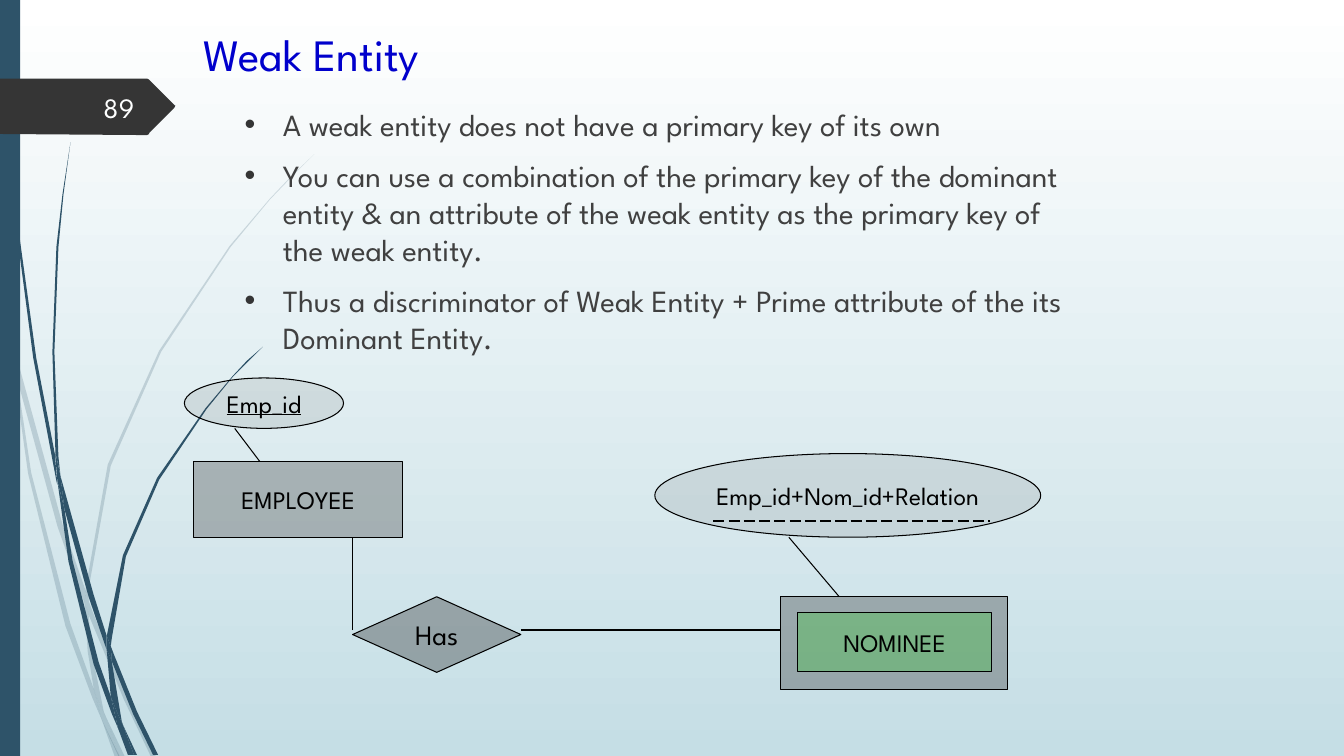
from dataclasses import dataclass

from lxml import etree
from pptx import Presentation
from pptx import util as u
from pptx.dml.color import RGBColor
from pptx.enum import dml, shapes, text
from pptx.oxml.ns import qn

PX = 9144


@dataclass(frozen=True)
class Theme:
    """Colours, font and type sizes."""
    font: str = "League Spartan"
    blue: str = "2E5369"
    dark: str = "353535"
    green: str = "33CC33"
    ink: str = "000000"
    head: str = "0000CC"
    body: str = "404040"
    white: str = "FEFFFF"
    sky: tuple = ("FFFFFF", "C5DEE5")
    big: int = 32
    mid: int = 22
    num: int = 20
    small: int = 18


T = Theme()

PALE = [
    [(11, 350), (8, 322), (0, 282), (0, 299), (10, 344)],
    [(57, 522), (84, 599), (85, 586), (62, 520), (14, 345), (17, 376)],
    [(92, 607), (88, 596), (88, 610), (123, 694), (150, 751), (155, 751), (127, 692)],
    [(119, 751), (124, 751), (105, 711)],
    [(93, 683), (70, 619), (31, 469), (17, 376), (11, 350), (28, 470), (65, 621), (92, 693),
     (101, 714), (99, 707)],
    [(84, 599), (87, 646), (93, 683), (96, 692), (105, 711), (103, 706), (91, 646), (88, 610), (88, 608)],
    [(88, 584), (110, 462), (160, 349), (229, 245), (268, 198), (290, 175), (312, 153), (289, 175),
     (268, 197), (228, 244), (158, 348), (107, 461), (85, 584), (85, 586), (88, 596)],
    [(101, 714), (114, 751), (119, 751)],
    [(88, 608), (88, 610), (88, 596), (85, 586), (84, 599)],
    [(96, 692), (93, 683), (99, 707), (101, 714), (118, 751), (119, 751), (105, 711)],
]
DEEP = [
    [(7, 110), (17, 233), (33, 355), (56, 477), (57, 481), (55, 457), (55, 453), (36, 355), (19, 232),
     (8, 109), (5, 48), (3, 0), (3, 48)],
    [(88, 592), (106, 645), (106, 633), (106, 631), (93, 590), (60, 472), (64, 505)],
    [(113, 649), (110, 641), (111, 656), (132, 708), (152, 749), (157, 749), (136, 706)],
    [(110, 691), (98, 657), (72, 556), (64, 505), (57, 477), (68, 557), (93, 659), (111, 708),
     (117, 722), (116, 717)],
    [(60, 472), (58, 453), (54, 349), (58, 245), (63, 193), (70, 141), (62, 193), (56, 245),
     (52, 349), (55, 449), (60, 471)],
    [(133, 749), (136, 749), (122, 719)],
    [(57, 477), (64, 505), (60, 472), (55, 449), (55, 453)],
    [(111, 633), (125, 552), (158, 476), (205, 406), (231, 374), (246, 359), (261, 344), (245, 358),
     (231, 373), (204, 405), (156, 474), (122, 551), (106, 631), (110, 641)],
    [(117, 722), (127, 749), (131, 749)],
    [(106, 645), (110, 691), (116, 706), (122, 719), (121, 716), (111, 656), (109, 651)],
    [(106, 645), (109, 651), (111, 656), (110, 641), (106, 631), (106, 633)],
    [(116, 706), (110, 691), (116, 717), (117, 722), (130, 749), (133, 749), (122, 719)],
]
TAG = [(173, 107), (148, 132), (148, 133), (146, 134), (136, 134), (0, 133), (0, 78), (136, 78),
       (146, 78), (148, 79), (173, 104), (174, 105)]
POINTS = [
    "A weak entity does not have a primary key of its own",
    "You can use a combination of the primary key of the dominant entity & an attribute "
    "of the weak entity as the primary key of the weak entity.",
    "Thus a discriminator of Weak Entity + Prime attribute of the its Dominant Entity.",
]
LINKS = [(350, 625, 350, 533), (517, 625, 775, 625), (783, 533, 833, 592), (233, 425, 258, 458)]


def emu(*nums):
    """Turn px lengths into EMU."""
    return [n * PX for n in nums]


def rgb(code):
    """Give a colour from its hex code."""
    return RGBColor.from_string(code)


def paint(shape, code, alpha=100, edge=False):
    """Fill a shape, with a thin black edge if asked."""
    shape.shadow.inherit = False
    shape.fill.solid()
    shape.fill.fore_color.rgb = rgb(code)
    if alpha < 100:
        tint = shape.fill._xPr.find(".//" + qn("a:srgbClr"))
        etree.SubElement(tint, qn("a:alpha"), val=str(alpha * 1000))
    if edge:
        shape.line.color.rgb = rgb(T.ink)
        shape.line.width = u.Pt(0.75)
    else:
        shape.line.fill.background()


def style(para, size, code, align=text.PP_ALIGN.LEFT):
    """Set the font and alignment of a paragraph."""
    para.alignment = align
    para.font.name = T.font
    para.font.size = u.Pt(size)
    para.font.color.rgb = rgb(code)


def outline(slide, pts, code, alpha=100):
    """Draw a closed filled outline."""
    form = slide.shapes.build_freeform(*pts[0], scale=PX)
    form.add_line_segments(pts[1:], close=True)
    paint(form.convert_to_shape(), code, alpha)


def node(slide, kind, box, code, alpha, label="", size=T.small):
    """Draw a diagram shape with a centred label."""
    shape = slide.shapes.add_shape(kind, *emu(*box))
    paint(shape, code, alpha, edge=True)
    if label:
        frame = shape.text_frame
        frame.word_wrap = False
        frame.vertical_anchor = text.MSO_ANCHOR.MIDDLE
        frame.text = label
        style(frame.paragraphs[0], size, T.ink, text.PP_ALIGN.CENTER)
    return shape


def link(slide, ends, width=0.75, dash=None):
    """Draw a straight black line."""
    line = slide.shapes.add_connector(shapes.MSO_CONNECTOR.STRAIGHT, *emu(*ends))
    line.line.color.rgb = rgb(T.ink)
    line.line.width = u.Pt(width)
    if dash:
        line.line.dash_style = dash
    etree.SubElement(line._element.spPr, qn("a:effectLst"))


def note(slide, box, anchor):
    """Add an empty wrapping text box and return its frame."""
    frame = slide.shapes.add_textbox(*emu(*box)).text_frame
    frame.word_wrap = True
    frame.vertical_anchor = anchor
    return frame


def bullet(para, indent):
    """Give a paragraph a hanging round bullet."""
    props = para._p.get_or_add_pPr()
    props.set("marL", str(indent))
    props.set("indent", str(-indent))
    tint = etree.SubElement(props, qn("a:buClr"))
    etree.SubElement(tint, qn("a:srgbClr"), val=T.dark)
    etree.SubElement(props, qn("a:buFont"), typeface="Arial")
    etree.SubElement(props, qn("a:buChar"), char="•")


def scene(slide):
    """Draw the background, grass, side bar and number tag."""
    fill = slide.background.fill
    fill.gradient()
    fill.gradient_angle = 270
    for stop, code in zip(fill.gradient_stops, T.sky):
        stop.color.rgb = rgb(code)
    for group, alpha in ((PALE, 20), (DEEP, 100)):
        for blade in group:
            outline(slide, blade, T.blue, alpha)
    bar = slide.shapes.add_shape(shapes.MSO_SHAPE.RECTANGLE, *emu(0, 0, 20, 750))
    paint(bar, T.blue)
    outline(slide, TAG, T.dark)


def words(slide):
    """Write the title, bullets and slide number."""
    title = slide.shapes.title
    title.left, title.top, title.width, title.height = emu(192, 22, 817, 63)
    frame = title.text_frame
    frame.text = "Weak Entity"
    frame.auto_size = text.MSO_AUTO_SIZE.NONE
    frame.vertical_anchor = text.MSO_ANCHOR.MIDDLE
    style(frame.paragraphs[0], T.big, T.head)
    frame = note(slide, (233, 100, 842, 267), text.MSO_ANCHOR.TOP)
    frame.text = "\n".join(POINTS)
    for i, para in enumerate(frame.paragraphs):
        bullet(para, 38 * PX)
        para.space_before = u.Pt(10 if i else 0)
        style(para, T.mid, T.body)
    frame = note(slide, (58, 86, 85, 40), text.MSO_ANCHOR.MIDDLE)
    frame.text = "89"
    style(frame.paragraphs[0], T.num, T.white, text.PP_ALIGN.RIGHT)


def chart(slide):
    """Draw the entity diagram."""
    kind = shapes.MSO_SHAPE
    node(slide, kind.RECTANGLE, (775, 592, 225, 92), T.dark, 34)
    node(slide, kind.RECTANGLE, (792, 608, 192, 58), T.green, 31, "NOMINEE")
    node(slide, kind.RECTANGLE, (192, 458, 208, 75), T.dark, 31, "EMPLOYEE")
    node(slide, kind.FLOWCHART_DECISION, (350, 592, 167, 75), T.dark, 37, "Has", T.num)
    for ends in LINKS:
        link(slide, ends)
    node(slide, kind.OVAL, (650, 450, 383, 83), T.dark, 10, "Emp_id+Nom_id+Relation")
    key = node(slide, kind.OVAL, (183, 375, 158, 50), T.dark, 10, "Emp_id")
    key.text_frame.paragraphs[0].font.underline = True
    link(slide, (708, 517, 983, 517), 1, dml.MSO_LINE.LONG_DASH)


def main():
    """Build and save the slide."""
    deck = Presentation()
    deck.slide_width, deck.slide_height = emu(1334, 750)
    slide = deck.slides.add_slide(deck.slide_layouts[5])
    scene(slide)
    words(slide)
    chart(slide)
    deck.save("out.pptx")


if __name__ == "__main__":
    main()
